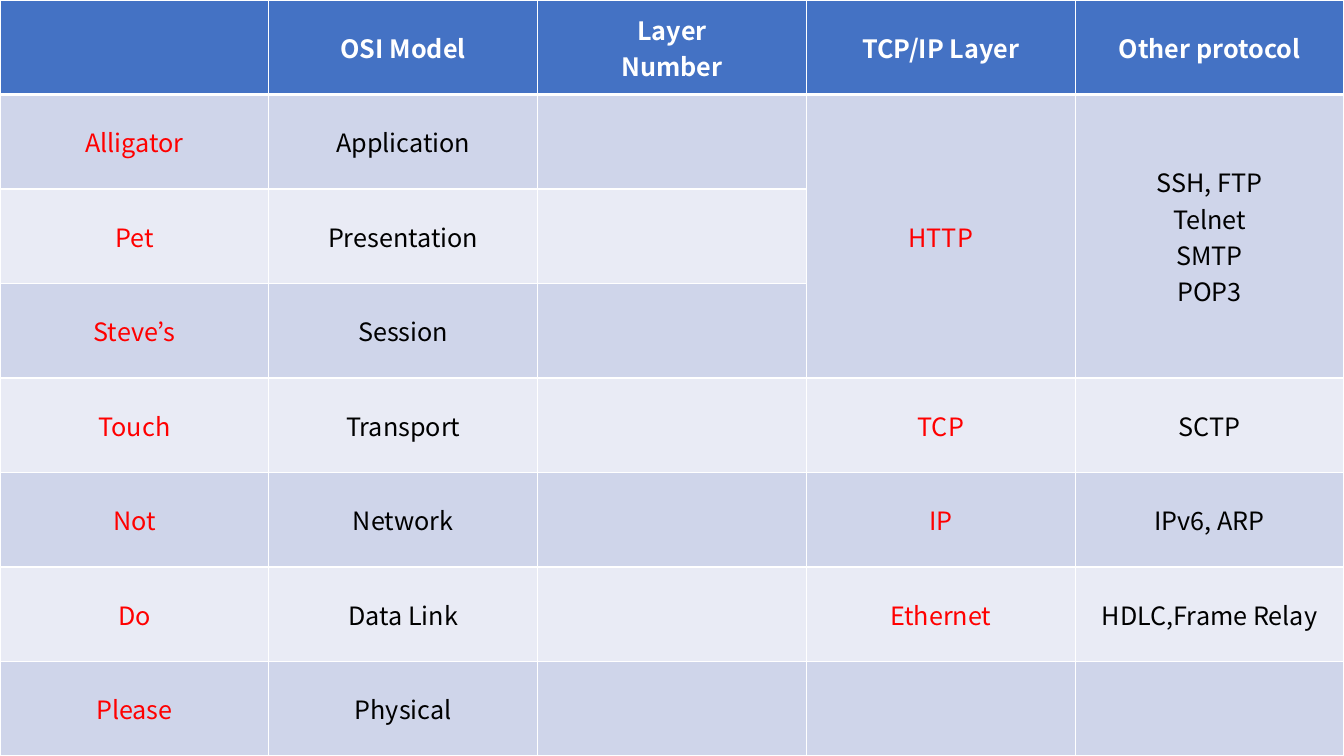
import pptx
import pptx.dml.color
import pptx.enum.text
import pptx.oxml
import pptx.oxml.ns
import pptx.util

FONT = "Noto Sans CJK KR"
WHITE, BLACK, RED = "FFFFFF", "000000", "FF0000"
HEADER_FILL = "4472C4"
BAND_FILLS = ("CFD5EA", "E9EBF5")
RED_COLUMNS = (0, 3)
MERGED_COLUMNS = (3, 4)
MERGED_ROWS = (1, 3)

ROWS = [
    ("", "OSI Model", "Layer\nNumber", "TCP/IP Layer", "Other protocol"),
    ("Alligator", "Application", "", "HTTP", "SSH, FTP\nTelnet\nSMTP\nPOP3"),
    ("Pet", "Presentation", "", "", ""),
    ("Steve’s", "Session", "", "", ""),
    ("Touch", "Transport", "", "TCP", "SCTP"),
    ("Not", "Network", "", "IP", "IPv6, ARP"),
    ("Do", "Data Link", "", "Ethernet", "HDLC,Frame Relay"),
    ("Please", "Physical", "", "", ""),
]


def rgb(value):
    return pptx.dml.color.RGBColor.from_string(value)


def write_text(cell, text, color=BLACK, bold=False, size=18):
    """Write centred text, one paragraph for each line."""
    cell.vertical_anchor = pptx.enum.text.MSO_ANCHOR.MIDDLE
    cell.text_frame.text = text
    for paragraph in cell.text_frame.paragraphs:
        paragraph.alignment = pptx.enum.text.PP_ALIGN.CENTER
        for run in paragraph.runs:
            run.font.name = FONT
            run.font.size = pptx.util.Pt(size)
            run.font.bold = bold
            run.font.color.rgb = rgb(color)


def fill_cell(cell, color):
    cell.fill.solid()
    cell.fill.fore_color.rgb = rgb(color)


def set_borders(cell, left=1, right=1, top=1, bottom=1, color=WHITE):
    """Draw the four cell borders, with widths in points."""
    properties = cell._tc.get_or_add_tcPr()
    widths = {"lnL": left, "lnR": right, "lnT": top, "lnB": bottom}
    for index, (tag, width) in enumerate(widths.items()):
        border = pptx.oxml.parse_xml(
            f'<a:{tag} {pptx.oxml.ns.nsdecls("a")} w="{pptx.util.Pt(width)}">'
            f'<a:solidFill><a:srgbClr val="{color}"/></a:solidFill></a:{tag}>'
        )
        properties.insert(index, border)


def format_cell(cell, row, column, text):
    if row == 0:
        fill_cell(cell, HEADER_FILL)
        set_borders(cell, bottom=3)
        write_text(cell, text, color=WHITE, bold=True)
    else:
        fill_cell(cell, BAND_FILLS[(row - 1) % 2])
        set_borders(cell, top=3 if row == 1 else 1)
        write_text(cell, text, color=RED if column in RED_COLUMNS else BLACK)


def add_layer_table(slide, width, height):
    row_count, column_count = len(ROWS), len(ROWS[0])
    table = slide.shapes.add_table(
        row_count, column_count, pptx.util.Cm(0), pptx.util.Cm(0), width, height
    ).table
    for row, texts in enumerate(ROWS):
        for column, text in enumerate(texts):
            format_cell(table.cell(row, column), row, column, text)
    first, last = MERGED_ROWS
    for column in MERGED_COLUMNS:
        table.cell(first, column).merge(table.cell(last, column))


def main():
    presentation = pptx.Presentation()
    presentation.slide_width = pptx.util.Cm(33.87)
    presentation.slide_height = pptx.util.Cm(19.05)
    slide = presentation.slides.add_slide(presentation.slide_layouts[6])
    add_layer_table(slide, presentation.slide_width, presentation.slide_height)
    presentation.save("out.pptx")


if __name__ == "__main__":
    main()
